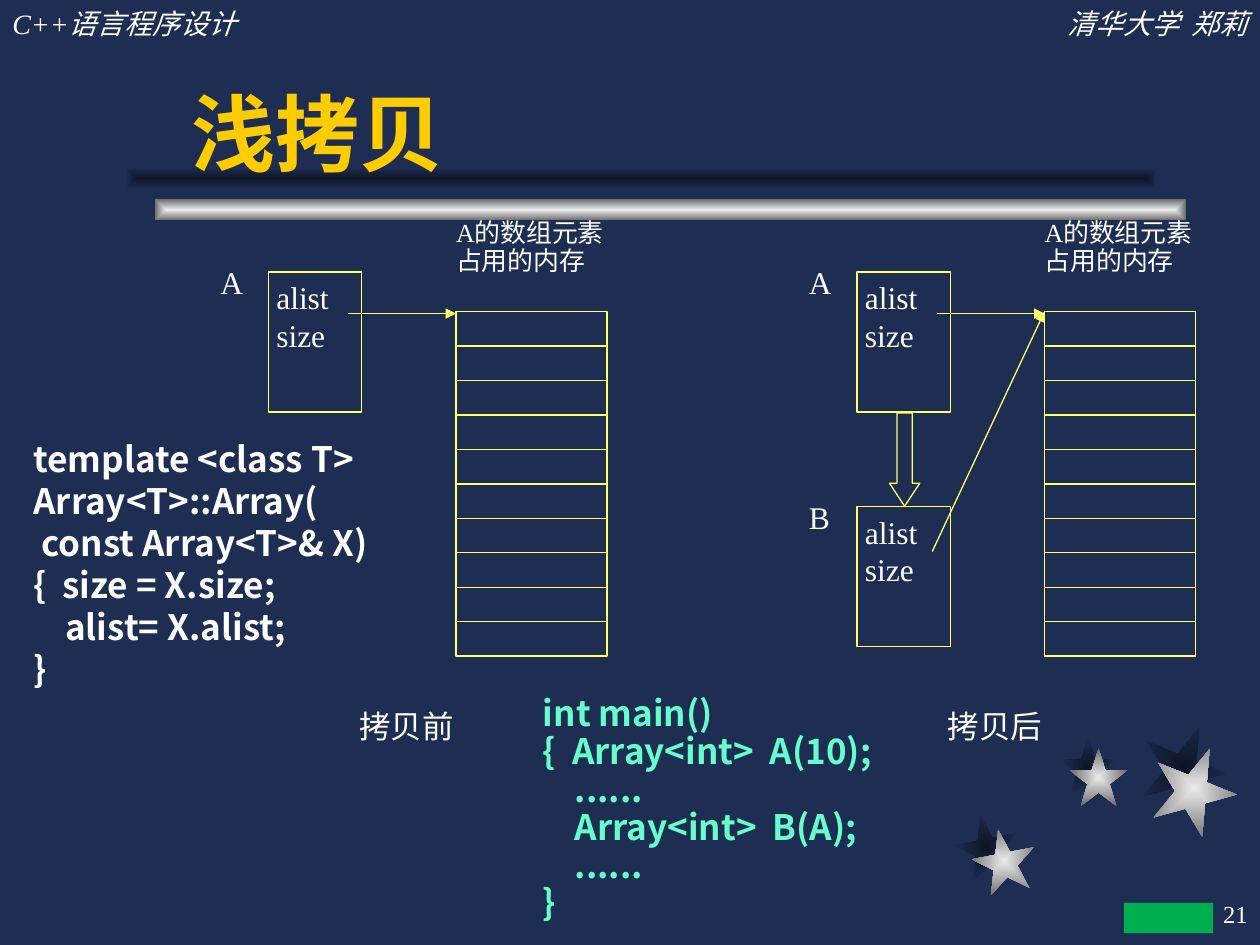
from lxml import etree
from pptx import Presentation
from pptx.dml.color import RGBColor
from pptx.enum.shapes import MSO_CONNECTOR, MSO_SHAPE
from pptx.enum.text import MSO_ANCHOR, MSO_AUTO_SIZE, PP_ALIGN
from pptx.oxml.ns import qn
from pptx.util import Pt

RECT, STAR, DOWN_ARROW = MSO_SHAPE.RECTANGLE, MSO_SHAPE.STAR_5_POINT, MSO_SHAPE.DOWN_ARROW
STRAIGHT = MSO_CONNECTOR.STRAIGHT
LEFT, CENTER, RIGHT, JUSTIFY = PP_ALIGN.LEFT, PP_ALIGN.CENTER, PP_ALIGN.RIGHT, PP_ALIGN.JUSTIFY
TOP, MIDDLE, BOTTOM = MSO_ANCHOR.TOP, MSO_ANCHOR.MIDDLE, MSO_ANCHOR.BOTTOM
NO_AUTOFIT = MSO_AUTO_SIZE.NONE

NAVY, WHITE, GOLD, YELLOW = "1E2E53", "FFFFFF", "FFCC00", "FFFF66"
MINT, GREEN = "66FFCC", "00B050"
SILVER = ("EAEAEA", "6C6C6C")
SHADE = ("0E1526", NAVY)
SERIF, SANS, CODE = "Times New Roman", "Arial", "Noto Sans CJK SC"


def rgb(color):
    return RGBColor.from_string(color)


def write(frame, text, size, color=WHITE, font=SERIF, bold=False, italic=False,
          align=LEFT, anchor=TOP, insets=(7.2, 3.6), spacing=1.0, wrap=True):
    frame.text = text
    frame.auto_size = NO_AUTOFIT
    frame.word_wrap = wrap
    frame.vertical_anchor = anchor
    frame.margin_left = frame.margin_right = Pt(insets[0])
    frame.margin_top = frame.margin_bottom = Pt(insets[1])
    for paragraph in frame.paragraphs:
        paragraph.alignment = align
        paragraph.line_spacing = spacing
        for run in paragraph.runs:
            run.font.size = Pt(size)
            run.font.name = font
            run.font.bold = bold
            run.font.italic = italic
            run.font.color.rgb = rgb(color)


def add_text(slide, box, text, size, **style):
    label = slide.shapes.add_textbox(*map(Pt, box))
    write(label.text_frame, text, size, **style)


def add_outline(slide, kind, box):
    outline = slide.shapes.add_shape(kind, *map(Pt, box))
    outline.shadow.inherit = False
    outline.fill.background()
    outline.line.color.rgb = rgb(YELLOW)
    outline.line.width = Pt(0.75)
    return outline


def add_glow(slide, kind, box, colors, rotation=0):
    """A shape whose gradient runs from its centre to its edges."""
    glow = slide.shapes.add_shape(kind, *map(Pt, box))
    glow.shadow.inherit = False
    glow.line.fill.background()
    glow.rotation = rotation
    glow.fill.gradient()
    for stop, color, position in zip(glow.fill.gradient_stops, colors, (0, 1)):
        stop.color.rgb = rgb(color)
        stop.position = position
    gradient = glow._element.spPr.find(qn("a:gradFill"))
    gradient.remove(gradient.find(qn("a:lin")))
    center = etree.SubElement(gradient, qn("a:path"), {"path": "rect"})
    etree.SubElement(center, qn("a:fillToRect"), dict.fromkeys("ltrb", "50000"))


def add_line(slide, start, end, arrow=False):
    line = slide.shapes.add_connector(STRAIGHT, *map(Pt, start + end))
    line.line.color.rgb = rgb(YELLOW)
    line.line.width = Pt(0.75)
    if arrow:
        etree.SubElement(line.line._get_or_add_ln(), qn("a:tailEnd"), {"type": "triangle"})
    etree.SubElement(line._element.spPr, qn("a:effectLst"))


def add_decoration(slide):
    # Stars with their shadows
    stars = [  # left, top, size, shadow offset, rotation
        (555.8, 473.8, 36, (-10, -8), -11),
        (611.3, 427.7, 33, (-6, -6.5), 0),
        (658.1, 426.2, 48.2, (-6, -12), 22),
    ]
    for left, top, size, (dx, dy), rotation in stars:
        add_glow(slide, STAR, (left + dx, top + dy, size, size), SHADE, rotation)
    for left, top, size, _, rotation in stars:
        add_glow(slide, STAR, (left, top, size, size), SILVER, rotation)
    # Title bar and its shadow
    add_glow(slide, RECT, (88.6, 113.8, 589, 12.2), SILVER)
    add_glow(slide, RECT, (72, 95.8, 589, 12.2), SHADE)


def add_header(slide, width):
    half = 221.8
    add_text(slide, (0, 0, half, 26.6), "C++语言程序设计", 16, italic=True)
    add_text(slide, (width - half, 0, half, 26.6), "清华大学  郑莉", 16,
             italic=True, align=RIGHT)


def add_title(slide, box):
    title = slide.shapes.title
    title.left, title.top, title.width, title.height = map(Pt, box)
    write(title.text_frame, "浅拷贝", 48, GOLD, SANS, bold=True, anchor=BOTTOM)
    slide.shapes._spTree.append(title._element)  # in front of the bar


def add_object(slide, left, top, name):
    """An Array object: its name and a box with its members."""
    add_text(slide, (left, top, 20, 23), name, 18, align=JUSTIFY, insets=(0, 0))
    members = add_outline(slide, RECT, (left + 27.4, top + 5, 53.3, 80))
    write(members.text_frame, "alist\nsize", 18, align=JUSTIFY, insets=(4.5, 3.6))


def add_memory(slide, left, top, width, cells=10, pitch=19.7):
    add_outline(slide, RECT, (left, top, width, cells * pitch))
    for row in range(1, cells):
        y = top + row * pitch
        add_line(slide, (left, y), (left + width, y))


def add_panel(slide, left, top, caption, copied=False):
    """Object A and its array memory; after copying, B shares that memory."""
    memory_x, memory_y = left + 134.6, top + 52
    add_object(slide, left, top + 24.5, "A")
    add_memory(slide, memory_x, memory_y, 86.4)
    add_text(slide, (memory_x, top, 93, 49.7), "A的数组元素\n占用的内存", 14.8,
             align=JUSTIFY, insets=(0, 0), spacing=0.9)
    pointer_y = memory_y + 1.2
    add_line(slide, (left + 73, pointer_y), (memory_x, pointer_y), arrow=True)
    add_text(slide, (left + 39.6, top + 278, 133.5, 27.4), caption, 18,
             align=CENTER, insets=(7.2, 0))
    if copied:
        add_object(slide, left, top + 158.4, "B")
        add_line(slide, (left + 70.4, top + 189.2), (memory_x, memory_y), arrow=True)
        arrow = add_outline(slide, DOWN_ARROW, (left + 46, top + 110, 17.3, 53.3))
        arrow.adjustments[0], arrow.adjustments[1] = 0.5, 0.76


def add_code(slide, box, lines, color, spacing):
    add_text(slide, box, "\n".join(lines), 20, color=color, font=CODE,
             bold=True, spacing=spacing)


def add_page_number(slide):
    add_text(slide, (570.2, 504, 149.8, 36), "21", 14, align=RIGHT,
             anchor=MIDDLE, wrap=False)
    marker = slide.shapes.add_shape(RECT, Pt(642.2), Pt(516), Pt(51), Pt(17.3))
    marker.shadow.inherit = False
    marker.fill.solid()
    marker.fill.fore_color.rgb = rgb(GREEN)
    marker.line.fill.background()


def main():
    deck = Presentation()
    deck.slide_width, deck.slide_height = Pt(720), Pt(540)
    slide = deck.slides.add_slide(deck.slide_layouts[5])
    slide.background.fill.solid()
    slide.background.fill.fore_color.rgb = rgb(NAVY)

    add_decoration(slide)
    add_header(slide, 720)
    add_title(slide, (102, 18, 564, 90))
    # Memory before and after the copy
    add_panel(slide, 126, 126, "拷贝前")
    add_panel(slide, 462.3, 126, "拷贝后", copied=True)
    # Code of the main program and the copy constructor
    add_code(slide, (303.2, 394.6, 228, 136.8),
             ["int main()", "{  Array<int>  A(10);", "    ......",
              "    Array<int>  B(A);", "    ......", "}"], MINT, 0.9)
    add_code(slide, (12, 246.2, 216, 151.2),
             ["template <class T>", "Array<T>::Array(", " const Array<T>& X)",
              "{  size = X.size;", "    alist= X.alist;", "}"], WHITE, 1.0)
    add_page_number(slide)
    deck.save("out.pptx")


if __name__ == "__main__":
    main()
